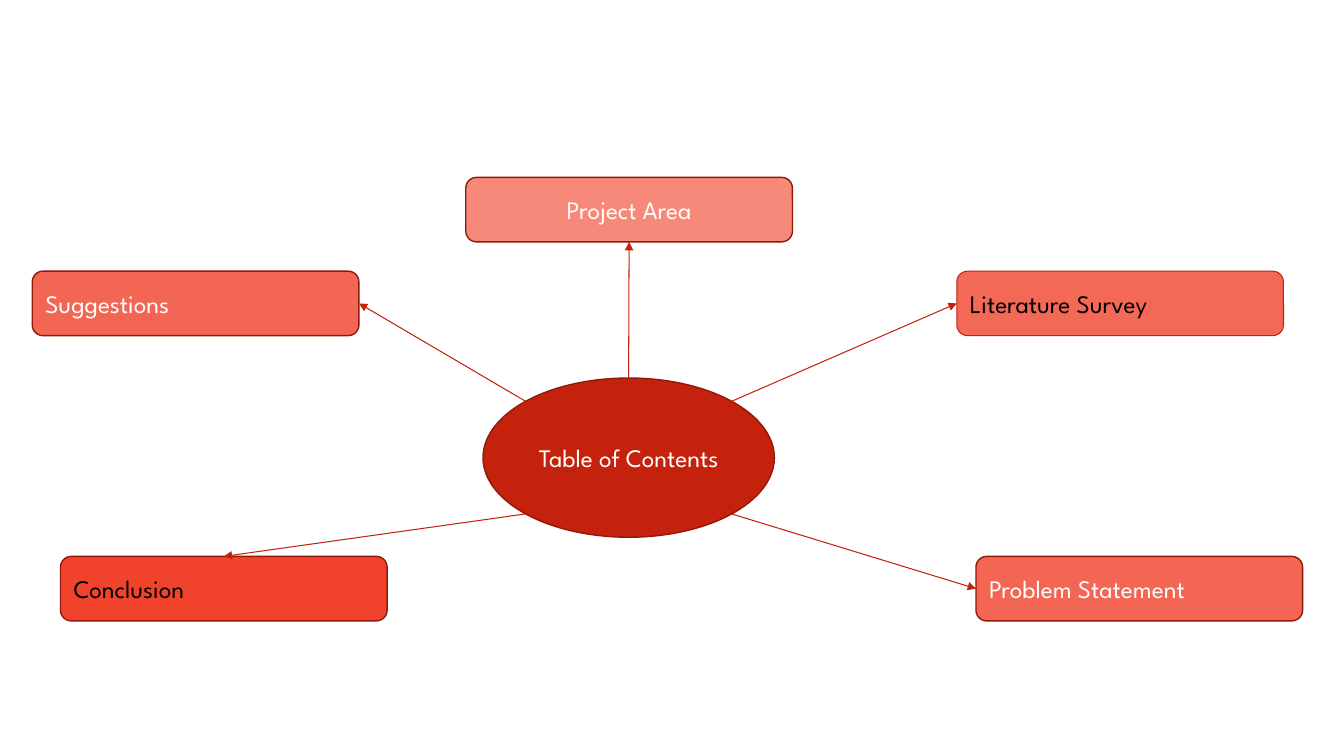
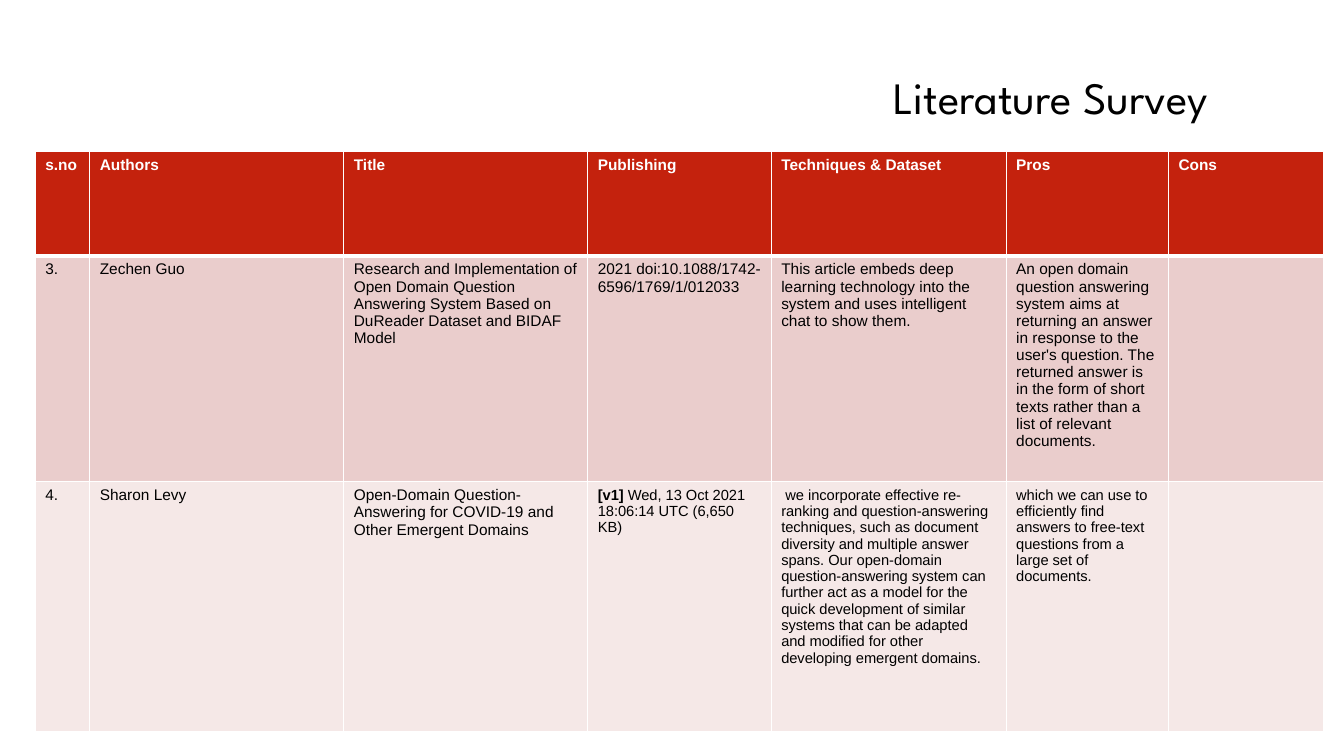
from dataclasses import dataclass
from math import cos, pi

from pptx import Presentation
from pptx.dml.color import RGBColor
from pptx.enum import shapes as kinds, text as txt
from pptx.oxml import ns, xmlchemy
from pptx.util import Inches, Pt


@dataclass(frozen=True)
class Theme:
    display: str = "League Spartan"
    body: str = "Arial"
    white: str = "FFFFFF"
    black: str = "000000"
    red: str = "C4220D"
    dark_red: str = "91190A"
    bright_red: str = "F1432B"
    coral: str = "F36653"
    light_coral: str = "F46856"
    salmon: str = "F6897A"
    odd_row: str = "EACDCC"
    even_row: str = "F5E8E7"
    title_size: float = 32
    topic_size: float = 18
    table_size: float = 11
    small_size: float = 10.5


THEME = Theme()


@dataclass(frozen=True)
class Topic:
    label: str
    left: float
    top: float
    fill: str
    # Side of the box that the arrow meets, and the hub's direction to it
    side: int
    across: int
    down: int
    ink: str = THEME.white
    edge: str = THEME.dark_red
    edge_width: float = 1
    align: txt.PP_ALIGN = txt.PP_ALIGN.LEFT


@dataclass(frozen=True)
class Entry:
    text: str = ""
    size: float = THEME.table_size
    bold_lead: str = ""


TOP, LEFT = 0, 1
BOTTOM, RIGHT = 2, 3
TOPIC_W, TOPIC_H = 3.24, 0.64
HUB_LEFT, HUB_TOP, HUB_W, HUB_H = 4.79, 3.75, 2.89, 1.58

TOPICS = [
    Topic("Project Area", 4.62, 1.76, THEME.salmon, BOTTOM, 0, -1,
          align=txt.PP_ALIGN.CENTER),
    Topic("Conclusion", 0.6, 5.52, THEME.bright_red, TOP, -1, 1, ink=THEME.black),
    Topic("Literature Survey", 9.49, 2.69, THEME.light_coral, LEFT, 1, -1,
          ink=THEME.black, edge=THEME.red, edge_width=0.75),
    Topic("Problem Statement", 9.68, 5.52, THEME.coral, LEFT, 1, 1),
    Topic("Suggestions", 0.32, 2.69, THEME.coral, RIGHT, -1, -1),
]

COLUMN_WIDTHS = [0.54, 2.52, 2.42, 1.82, 2.33, 1.61, 1.54]
ROW_HEIGHTS = [1.04, 2.24, 2.48]
ROW_FILLS = [THEME.red, THEME.odd_row, THEME.even_row]
SURVEY = [
    [Entry(heading) for heading in (
        "s.no", "Authors", "Title", "Publishing", "Techniques & Dataset", "Pros", "Cons")],
    [
        Entry("3."),
        Entry("Zechen Guo"),
        Entry("Research and Implementation of Open Domain Question Answering System "
              "Based on DuReader Dataset and BIDAF\nModel"),
        Entry("2021 doi:10.1088/1742-6596/1769/1/012033"),
        Entry("This article embeds deep\nlearning technology into the system and uses "
              "intelligent chat to show them."),
        Entry("An open domain question answering system aims at returning an answer in "
              "response to the user's question. The returned answer is in the form of "
              "short texts rather than a list of relevant documents."),
        Entry(),
    ],
    [
        Entry("4."),
        Entry("Sharon Levy"),
        Entry("Open-Domain Question-Answering for COVID-19 and Other Emergent Domains"),
        Entry(" Wed, 13 Oct 2021 18:06:14 UTC (6,650 KB)", THEME.small_size, "[v1]"),
        Entry(" we incorporate effective re-ranking and question-answering techniques, "
              "such as document diversity and multiple answer spans. Our open-domain "
              "question-answering system can further act as a model for the quick "
              "development of similar systems that can be adapted and modified for other "
              "developing emergent domains.", THEME.small_size),
        Entry("which we can use to efficiently find answers to free-text questions from "
              "a large set of documents.", THEME.small_size),
        Entry(),
    ],
]


def rgb(colour: str) -> RGBColor:
    return RGBColor.from_string(colour)


def style_text(frame, font: str, size: float, colour: str, bold: bool = False) -> None:
    for paragraph in frame.paragraphs:
        for run in paragraph.runs:
            run.font.name = font
            run.font.size = Pt(size)
            run.font.bold = bold
            run.font.color.rgb = rgb(colour)


def add_node(slide, kind, box: tuple, label: str, fill: str, ink: str,
             edge: str, edge_width: float, align):
    node = slide.shapes.add_shape(kind, *map(Inches, box))
    node.shadow.inherit = False
    node.fill.solid()
    node.fill.fore_color.rgb = rgb(fill)
    node.line.color.rgb = rgb(edge)
    node.line.width = Pt(edge_width)
    frame = node.text_frame
    frame.text = label
    frame.vertical_anchor = txt.MSO_ANCHOR.MIDDLE
    frame.paragraphs[0].alignment = align
    style_text(frame, THEME.display, THEME.topic_size, ink)
    return node


def add_spoke(slide, hub, box, topic: Topic) -> None:
    # Diagonal spokes leave the ellipse at 45 degrees
    reach = cos(pi / 4) if topic.across else 1
    x = Inches(HUB_LEFT + HUB_W / 2 * (1 + topic.across * reach))
    y = Inches(HUB_TOP + HUB_H / 2 * (1 + topic.down * reach))
    spoke = slide.shapes.add_connector(kinds.MSO_CONNECTOR.STRAIGHT, x, y, x, y)
    if not topic.across:
        spoke.begin_connect(hub, TOP)
    spoke.end_connect(box, topic.side)
    spoke.line.color.rgb = rgb(THEME.red)
    spoke.line.width = Pt(0.75)
    properties = spoke._element.spPr
    arrow = xmlchemy.OxmlElement("a:tailEnd")
    arrow.set("type", "triangle")
    properties.find(ns.qn("a:ln")).append(arrow)
    properties.append(xmlchemy.OxmlElement("a:effectLst"))


def add_border(cell, side: str, width: float) -> None:
    border = xmlchemy.OxmlElement(f"a:ln{side}")
    border.set("w", str(Pt(width)))
    fill = xmlchemy.OxmlElement("a:solidFill")
    colour = xmlchemy.OxmlElement("a:srgbClr")
    colour.set("val", THEME.white)
    fill.append(colour)
    border.append(fill)
    cell._tc.get_or_add_tcPr().append(border)


def fill_cell(cell, entry: Entry, row: int) -> None:
    # Borders come before the fill; the rule under the header is heavier
    heavy_side = {0: "B", 1: "T"}.get(row)
    for side in "LRTB":
        add_border(cell, side, 3 if side == heavy_side else 1)
    cell.fill.solid()
    cell.fill.fore_color.rgb = rgb(ROW_FILLS[row])
    is_header = row == 0
    frame = cell.text_frame
    frame.text = entry.bold_lead or entry.text
    if entry.bold_lead:
        frame.paragraphs[0].add_run().text = entry.text
    style_text(frame, THEME.body, entry.size,
               THEME.white if is_header else THEME.black, is_header)
    if entry.bold_lead:
        frame.paragraphs[0].runs[0].font.bold = True


def build_contents(slide) -> None:
    hub = add_node(slide, kinds.MSO_SHAPE.OVAL, (HUB_LEFT, HUB_TOP, HUB_W, HUB_H),
                   "Table of Contents", THEME.red, THEME.white,
                   THEME.dark_red, 1, txt.PP_ALIGN.CENTER)
    for topic in TOPICS:
        box = add_node(slide, kinds.MSO_SHAPE.ROUNDED_RECTANGLE,
                       (topic.left, topic.top, TOPIC_W, TOPIC_H), topic.label,
                       topic.fill, topic.ink, topic.edge, topic.edge_width, topic.align)
        add_spoke(slide, hub, box, topic)


def build_survey(slide) -> None:
    # Survey table
    survey = slide.shapes.add_table(
        len(ROW_HEIGHTS), len(COLUMN_WIDTHS), Inches(0.35), Inches(1.5),
        Inches(sum(COLUMN_WIDTHS)), Inches(sum(ROW_HEIGHTS))).table
    for column, width in zip(survey.columns, COLUMN_WIDTHS):
        column.width = Inches(width)
    for row, (height, entries) in enumerate(zip(ROW_HEIGHTS, SURVEY)):
        survey.rows[row].height = Inches(height)
        for column, entry in enumerate(entries):
            fill_cell(survey.cell(row, column), entry, row)

    # Heading
    heading = slide.shapes.add_textbox(
        Inches(8.76), Inches(0.64), Inches(4.37), Inches(0.64)).text_frame
    heading.word_wrap = True
    heading.auto_size = txt.MSO_AUTO_SIZE.SHAPE_TO_FIT_TEXT
    heading.text = "Literature Survey"
    style_text(heading, THEME.display, THEME.title_size, THEME.black)


def main() -> None:
    deck = Presentation()
    deck.slide_width, deck.slide_height = Inches(13.33), Inches(7.5)
    blank = deck.slide_layouts[6]
    for build in (build_contents, build_survey):
        build(deck.slides.add_slide(blank))
    deck.save("out.pptx")


if __name__ == "__main__":
    main()
